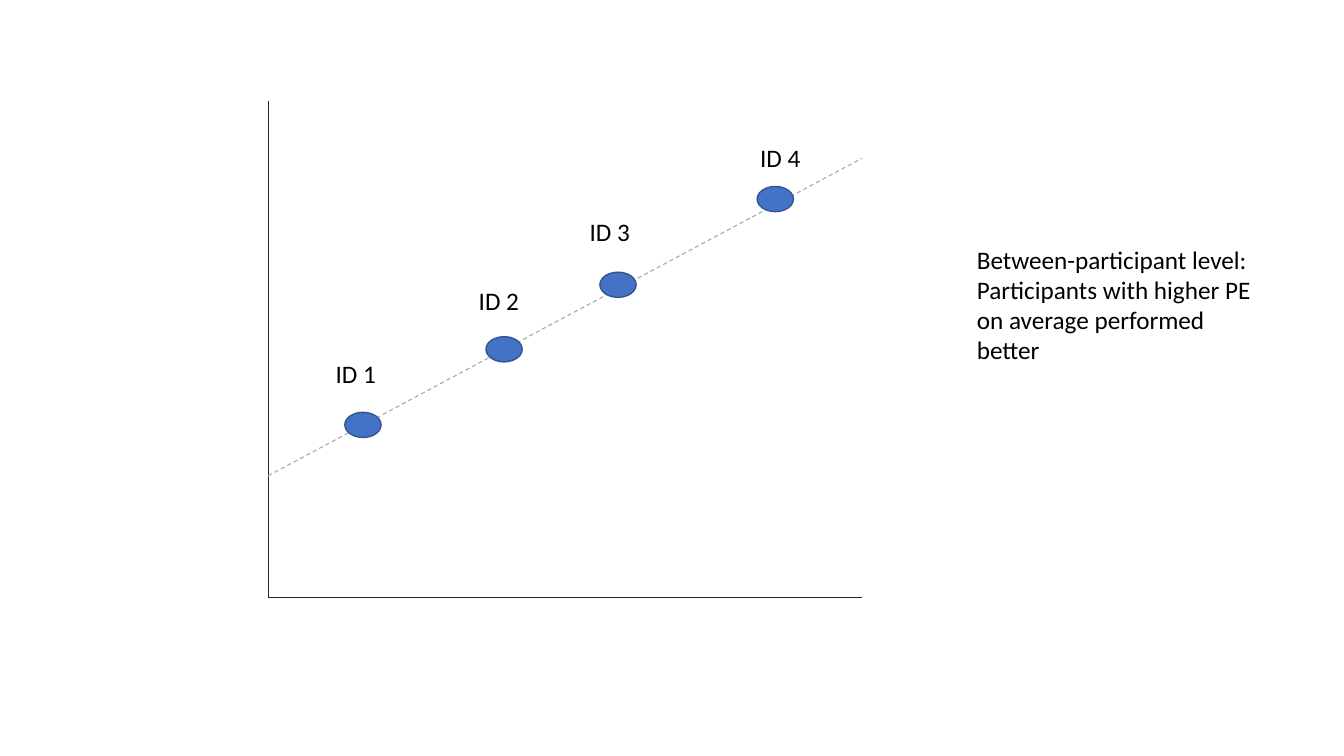
from dataclasses import dataclass

from lxml.etree import SubElement
from pptx import Presentation
from pptx.dml.color import RGBColor
from pptx.enum.dml import MSO_LINE
from pptx.enum.shapes import MSO_CONNECTOR, MSO_SHAPE
from pptx.oxml.ns import qn
from pptx.slide import Slide
from pptx.util import Inches, Pt

FONT = "Calibri"
BLACK, AXIS, TREND = "000000", "262626", "A5A5A5"
DOT_FILL, DOT_LINE = "4472C4", "325490"
DOT_W, DOT_H = 0.36, 0.25
LABEL_W, LABEL_H = 0.74, 0.4
LEFT, RIGHT, TOP, BOTTOM = 2.66, 8.55, 1.0, 5.93


@dataclass(frozen=True)
class Line:
    x1: float
    y1: float
    x2: float
    y2: float
    color: str
    width: float
    dashed: bool = False


@dataclass(frozen=True)
class Participant:
    label: str
    dot_x: float
    dot_y: float
    label_x: float
    label_y: float


LINES = [
    Line(LEFT, TOP, LEFT, BOTTOM, AXIS, 0.5),
    Line(RIGHT, BOTTOM, LEFT, BOTTOM, AXIS, 0.5),
    Line(LEFT, 4.72, RIGHT, 1.57, TREND, 0.75, dashed=True),
]
PARTICIPANTS = [
    Participant("ID 1", 3.42, 4.09, 3.23, 3.51),
    Participant("ID 2", 4.82, 3.34, 4.65, 2.78),
    Participant("ID 3", 5.95, 2.7, 5.75, 2.1),
    Participant("ID 4", 7.51, 1.85, 7.44, 1.36),
]
FINDING = [
    "Between-participant level:",
    "Participants with higher PE on average performed better",
]


def rgb(color: str) -> RGBColor:
    return RGBColor.from_string(color)


def add_line(s: Slide, line: Line) -> None:
    ends = (Inches(v) for v in (line.x1, line.y1, line.x2, line.y2))
    cx = s.shapes.add_connector(MSO_CONNECTOR.STRAIGHT, *ends)
    cx.line.color.rgb = rgb(line.color)
    cx.line.width = Pt(line.width)
    if line.dashed:
        cx.line.dash_style = MSO_LINE.DASH
    SubElement(cx._element.spPr, qn("a:effectLst"))


def add_dot(s: Slide, x: float, y: float) -> None:
    sp = s.shapes.add_shape(MSO_SHAPE.OVAL, Inches(x), Inches(y),
                            Inches(DOT_W), Inches(DOT_H))
    sp.shadow.inherit = False
    sp.fill.solid()
    sp.fill.fore_color.rgb = rgb(DOT_FILL)
    sp.line.color.rgb = rgb(DOT_LINE)
    sp.line.width = Pt(1)


def add_text(s: Slide, x: float, y: float, w: float, h: float,
             paragraphs: list[str]) -> None:
    tf = s.shapes.add_textbox(Inches(x), Inches(y), Inches(w), Inches(h)).text_frame
    tf.word_wrap = True
    for i, text in enumerate(paragraphs):
        p = tf.add_paragraph() if i else tf.paragraphs[0]
        r = p.add_run()
        r.text = text
        r.font.name = FONT
        r.font.size = Pt(18)
        r.font.color.rgb = rgb(BLACK)


def main() -> None:
    prs = Presentation()
    prs.slide_width, prs.slide_height = Inches(13.33), Inches(7.5)
    s = prs.slides.add_slide(prs.slide_layouts[6])

    # Axes and trend line
    for line in LINES:
        add_line(s, line)

    # Participant dots, then their labels
    for person in PARTICIPANTS:
        add_dot(s, person.dot_x, person.dot_y)
    for person in PARTICIPANTS:
        add_text(s, person.label_x, person.label_y, LABEL_W, LABEL_H, [person.label])

    # Finding beside the plot
    add_text(s, 9.59, 2.37, 2.97, 1.6, FINDING)

    prs.save("out.pptx")


if __name__ == "__main__":
    main()
